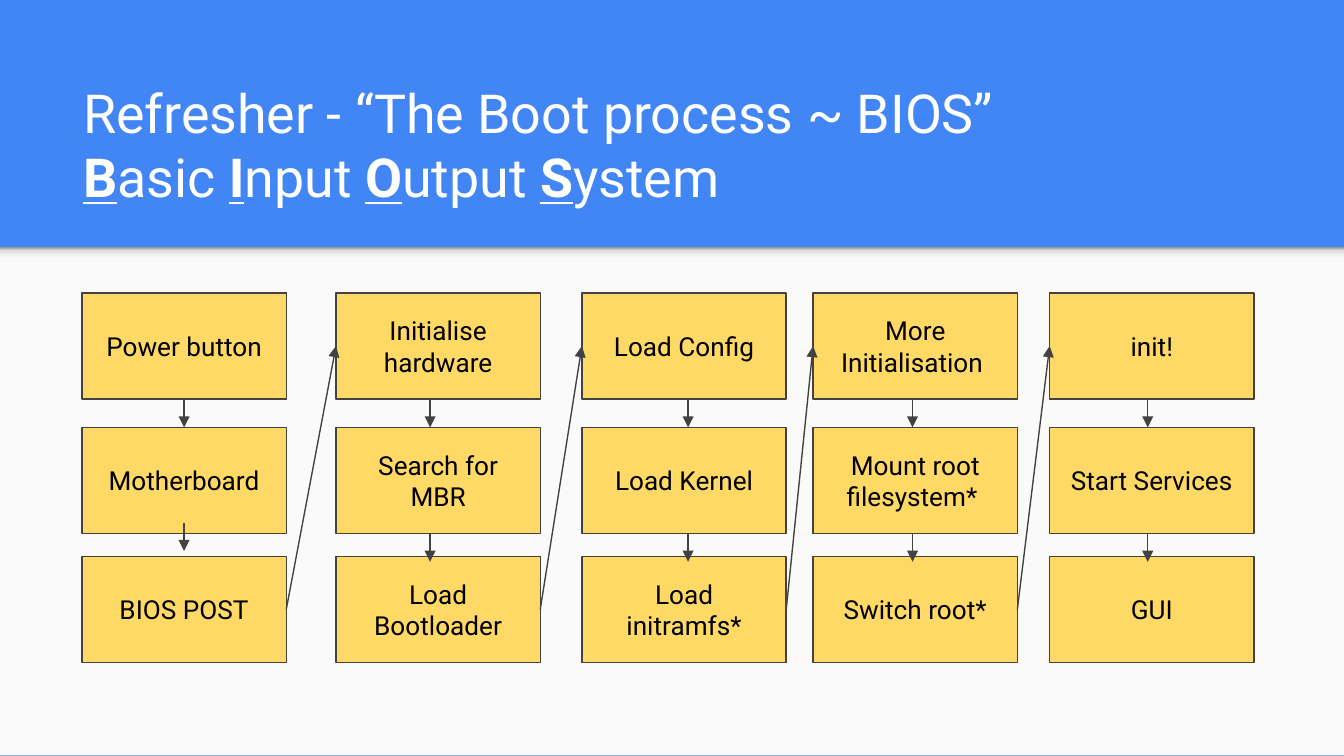
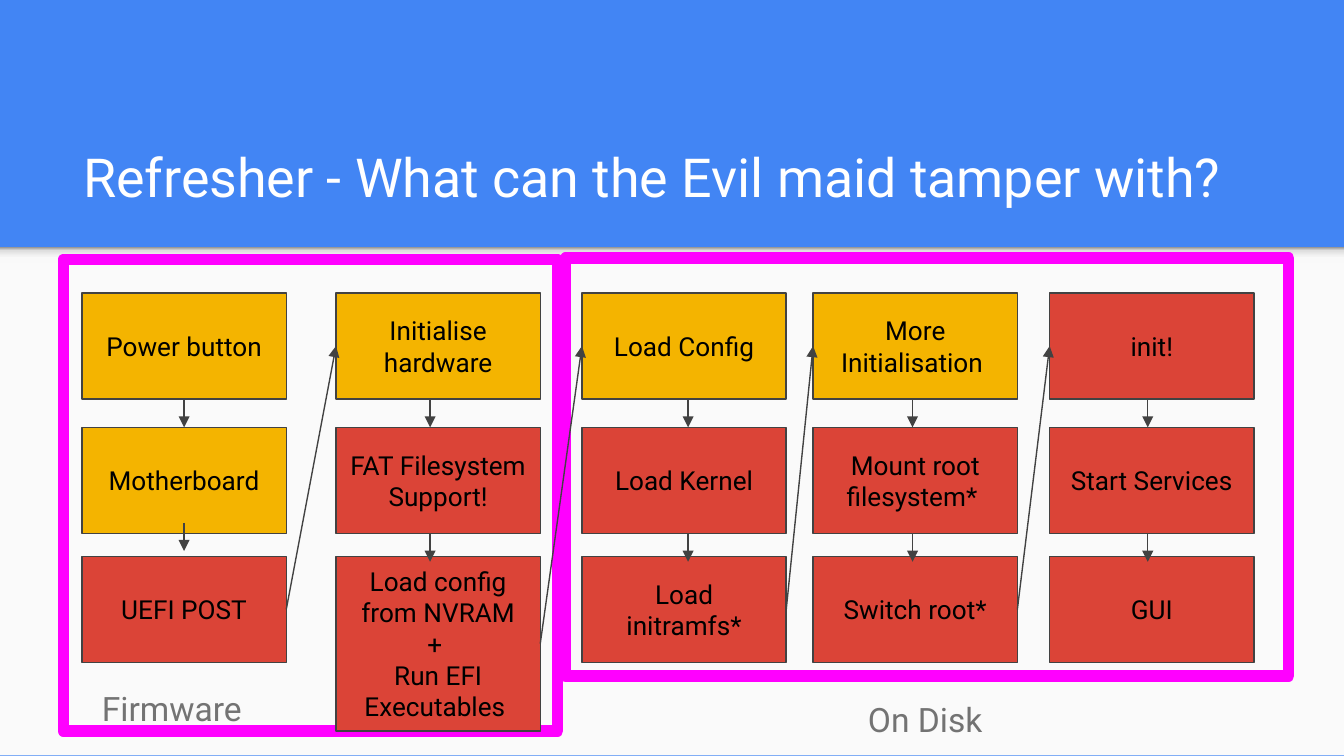
from collections import namedtuple
from copy import deepcopy
from dataclasses import dataclass

from lxml import etree
from pptx import Presentation
from pptx.dml.color import RGBColor
from pptx.enum.shapes import MSO_CONNECTOR, MSO_SHAPE
from pptx.enum.text import MSO_ANCHOR, PP_ALIGN
from pptx.oxml.ns import qn
from pptx.util import Inches, Pt

RECTANGLE = MSO_SHAPE.RECTANGLE
STRAIGHT = MSO_CONNECTOR.STRAIGHT
ANCHOR_TOP, ANCHOR_MIDDLE, ANCHOR_BOTTOM = MSO_ANCHOR.TOP, MSO_ANCHOR.MIDDLE, MSO_ANCHOR.BOTTOM
ALIGN_LEFT, ALIGN_CENTER = PP_ALIGN.LEFT, PP_ALIGN.CENTER
TOP, LEFT, BOTTOM, RIGHT = range(4)

Box = namedtuple("Box", "left top width height")


@dataclass(frozen=True)
class Theme:
    font: str = "Roboto"
    band: str = "4285F4"
    panel: str = "FAFAFA"
    title: str = "FFFFFF"
    step_text: str = "000000"
    outline: str = "424242"
    label: str = "737373"
    frame: str = "FF00FF"
    plain_step: str = "FFD966"
    safe_step: str = "F4B400"
    tampered_step: str = "DB4437"
    title_size: float = 28.8
    step_size: int = 14
    label_size: int = 18
    thin: float = 0.75
    thick: int = 6
    inset: float = 0.1


THEME = Theme()
EDGE_SHADE = ((0, "F9F9F9"), (0.36, "F9F9F9"), (0.8, "DEDEDE"), (1, "999999"))

SLIDE_WIDTH = Inches(10)
SLIDE_HEIGHT = SLIDE_WIDTH * 9 // 16
PANEL = Box(0, 1.84, 10, 3.78)
TITLE = Box(0.52, 0.81, 8.99, 0.84)
FLOW = Box(0.61, 2.18, 8.72, 2.75)

STEP_WIDTH, STEP_HEIGHT, TALL_STEP_HEIGHT = 1.52, 0.79, 1.3
COLUMN_LEFTS = (0, 1.89, 3.72, 5.44, 7.2)
ROW_TOPS = (0, 1, 1.96)
ARROW_OFFSETS = (0.76, 0.7, 0.79, 0.74, 0.73)
ARROW_LENGTH = 0.21
FIRST_COLUMN_ARROW_TOP = 1.71

DISK_STEPS = [
    ["Load Config", "Load Kernel", "Load initramfs*"],
    ["More Initialisation ", "Mount root filesystem* ", "Switch root*"],
    ["init!", "Start Services", "GUI"],
]
BIOS_STEPS = [
    ["Power button", "Motherboard", "BIOS POST"],
    ["Initialise hardware", "Search for MBR", "Load Bootloader"],
] + DISK_STEPS
NVRAM_STEP = "Load config from NVRAM\n+ \nRun EFI Executables "
UEFI_STEPS = [
    ["Power button", "Motherboard", "UEFI POST"],
    ["Initialise hardware", "FAT Filesystem Support!", NVRAM_STEP],
] + DISK_STEPS
SAFE_STEPS = {"Power button", "Motherboard", "Initialise hardware",
              "Load Config", "More Initialisation "}


def rgb(color):
    return RGBColor.from_string(color)


def inches(box):
    return [Inches(length) for length in box]


def add_rectangle(slide, box, fill=None, line=None, line_width=THEME.thin):
    rectangle = slide.shapes.add_shape(RECTANGLE, *inches(box))
    rectangle.shadow.inherit = False
    if fill:
        rectangle.fill.solid()
        rectangle.fill.fore_color.rgb = rgb(fill)
    else:
        rectangle.fill.background()
    if line:
        rectangle.line.color.rgb = rgb(line)
        rectangle.line.width = Pt(line_width)
    else:
        rectangle.line.fill.background()
    return rectangle


def prepare_frame(holder, anchor):
    frame = holder.text_frame
    frame.word_wrap = True
    frame.vertical_anchor = anchor
    frame.margin_left = frame.margin_right = Inches(THEME.inset)
    frame.margin_top = frame.margin_bottom = Inches(THEME.inset)
    return frame


def style_paragraph(paragraph, size, color, align=ALIGN_LEFT):
    paragraph.alignment = align
    paragraph.font.name = THEME.font
    paragraph.font.size = Pt(size)
    paragraph.font.color.rgb = rgb(color)


def add_backdrop(slide):
    """Blue title band above a light panel with a shaded top edge."""
    slide.background.fill.solid()
    slide.background.fill.fore_color.rgb = rgb(THEME.band)
    add_rectangle(slide, PANEL, THEME.panel)
    edge = add_rectangle(slide, PANEL._replace(height=0.12))
    edge.fill.gradient()
    edge.fill.gradient_angle = 90
    stops = edge._element.spPr.find(".//" + qn("a:gsLst"))
    while len(stops) < len(EDGE_SHADE):
        stops.append(deepcopy(stops[0]))
    for stop, (position, color) in zip(edge.fill.gradient_stops, EDGE_SHADE):
        stop.position = position
        stop.color.rgb = rgb(color)


def add_title(slide, box, *lines, initials=False):
    """Write the title; with initials, stress each capital of the last line."""
    frame = prepare_frame(slide.shapes.add_textbox(*inches(box)), ANCHOR_BOTTOM)
    for index, line in enumerate(lines):
        paragraph = frame.add_paragraph() if index else frame.paragraphs[0]
        style_paragraph(paragraph, THEME.title_size, THEME.title)
        if not (initials and index == len(lines) - 1):
            paragraph.add_run().text = line
            continue
        words = line.split()
        for word in words:
            initial = paragraph.add_run()
            initial.text = word[0]
            initial.font.bold = initial.font.underline = True
            paragraph.add_run().text = word[1:] + (" " if word != words[-1] else "")


def add_step(slide, box, text, fill):
    step = add_rectangle(slide, box, fill, THEME.outline)
    frame = prepare_frame(step, ANCHOR_MIDDLE)
    frame.text = text
    for paragraph in frame.paragraphs:
        style_paragraph(paragraph, THEME.step_size, THEME.step_text, ALIGN_CENTER)
    return step


def add_arrow(slide, x=0, top=0):
    """Add a downward arrow; its ends can be joined to steps afterwards."""
    arrow = slide.shapes.add_connector(
        STRAIGHT, Inches(x), Inches(top), Inches(x), Inches(top + ARROW_LENGTH))
    arrow.line.color.rgb = rgb(THEME.outline)
    arrow.line.width = Pt(THEME.thin)
    line = arrow.line._get_or_add_ln()
    etree.SubElement(line, qn("a:tailEnd"), type="triangle")
    etree.SubElement(arrow._element.spPr, qn("a:effectLst"))
    return arrow


def join(arrow, start, start_side, end, end_side):
    arrow.begin_connect(start, start_side)
    arrow.end_connect(end, end_side)


def add_flow(slide, box, columns, fill_for):
    """Draw the steps column by column, then the arrows between them."""
    grid = []
    for column_left, texts in zip(COLUMN_LEFTS, columns):
        column = []
        for row_top, text in zip(ROW_TOPS, texts):
            height = TALL_STEP_HEIGHT if text == NVRAM_STEP else STEP_HEIGHT
            place = Box(box.left + column_left, box.top + row_top, STEP_WIDTH, height)
            column.append(add_step(slide, place, text, fill_for(text)))
        grid.append(column)

    for index, (column_left, offset) in enumerate(zip(COLUMN_LEFTS, ARROW_OFFSETS)):
        x = box.left + column_left + offset
        upper = add_arrow(slide, x, box.top + STEP_HEIGHT)
        lower_top = ROW_TOPS[1] + STEP_HEIGHT
        if index == 0:
            join(upper, grid[0][0], BOTTOM, grid[0][1], TOP)
            lower_top = FIRST_COLUMN_ARROW_TOP
        add_arrow(slide, x, box.top + lower_top)

    for column, following in zip(grid, grid[1:]):
        join(add_arrow(slide), column[-1], RIGHT, following[0], LEFT)


def add_zone_label(slide, box, text):
    frame = prepare_frame(slide.shapes.add_textbox(*inches(box)), ANCHOR_TOP)
    frame.text = text
    style_paragraph(frame.paragraphs[0], THEME.label_size, THEME.label)


def new_slide(deck):
    slide = deck.slides.add_slide(deck.slide_layouts[6])
    add_backdrop(slide)
    return slide


def build_bios_slide(deck):
    slide = new_slide(deck)
    add_title(slide, TITLE, "Refresher - “The Boot process ~ BIOS”",
              "Basic Input Output System", initials=True)
    add_flow(slide, FLOW, BIOS_STEPS, lambda text: THEME.plain_step)


def build_tamper_slide(deck):
    slide = new_slide(deck)
    for zone in (Box(4.21, 1.92, 5.38, 3.11), Box(0.47, 1.93, 3.68, 3.51)):
        add_rectangle(slide, zone, line=THEME.frame, line_width=THEME.thick)
    add_title(slide, TITLE, "Refresher - What can the Evil maid tamper with?")
    add_flow(slide, FLOW, UEFI_STEPS,
             lambda text: THEME.safe_step if text in SAFE_STEPS else THEME.tampered_step)
    add_zone_label(slide, Box(6.36, 5.1, 2.26, 0.26), "On Disk")
    add_zone_label(slide, Box(0.66, 5.02, 2.26, 0.26), "Firmware")


def main():
    deck = Presentation()
    deck.slide_width, deck.slide_height = SLIDE_WIDTH, SLIDE_HEIGHT
    build_bios_slide(deck)
    build_tamper_slide(deck)
    deck.save("out.pptx")


if __name__ == "__main__":
    main()
